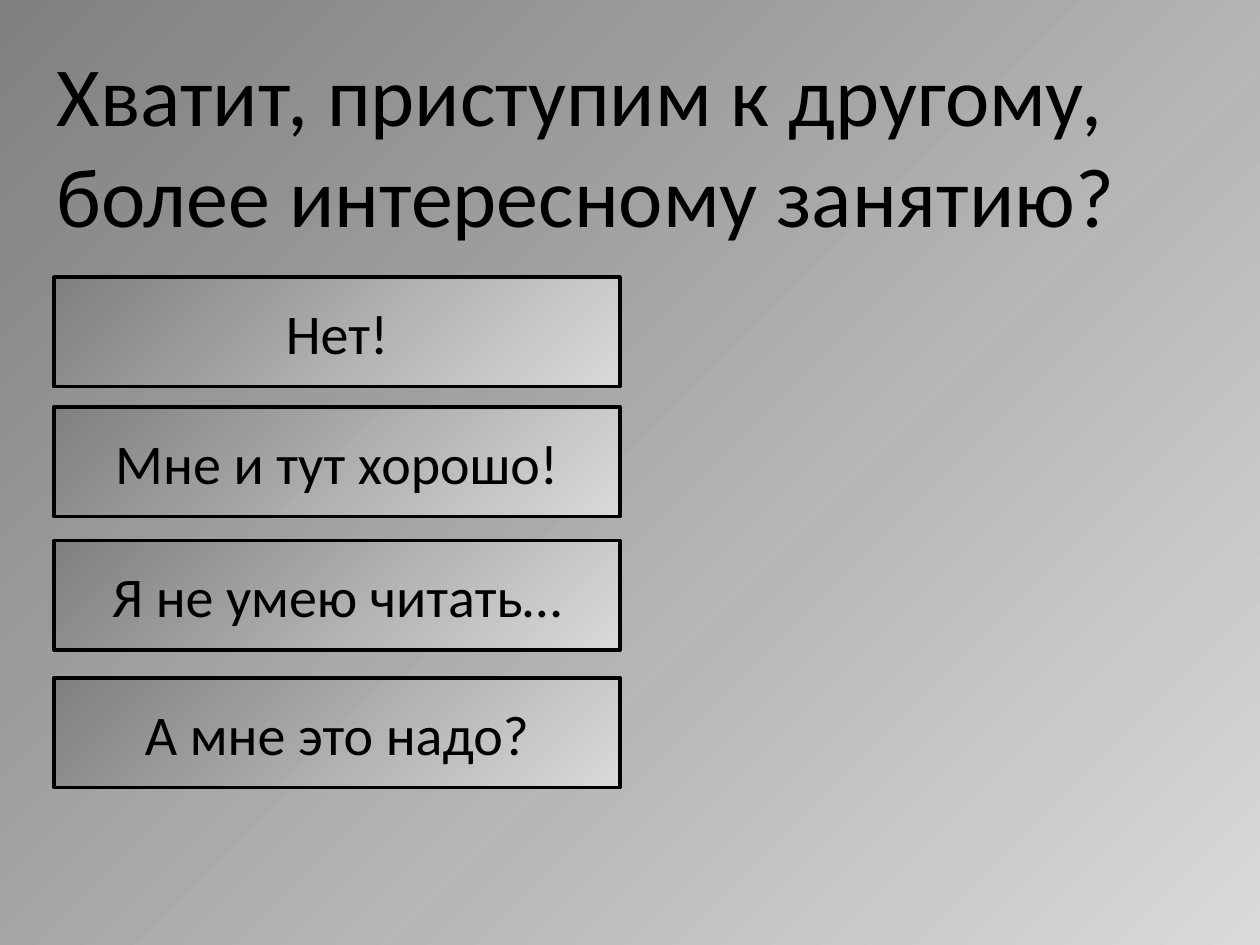
from dataclasses import dataclass

from pptx import Presentation
from pptx import util as u
from pptx.dml.color import RGBColor
from pptx.enum import shapes, text

QUESTION = ["Хватит, приступим к другому,", "более интересному занятию?"]
QUESTION_BOX = (0.35, 0.29, 8.75, 1.72)

# Answer label and the top of its button, in inches
ANSWERS = [
    ("Нет!", 2.2),
    ("Мне и тут хорошо!", 3.23),
    ("Я не умею читать…", 4.29),
    ("А мне это надо?", 5.38),
]
BUTTON_LEFT, BUTTON_WIDTH, BUTTON_HEIGHT = 0.43, 4.49, 0.87


@dataclass(frozen=True)
class Theme:
    font: str = "Calibri"
    ink: RGBColor = RGBColor(0x00, 0x00, 0x00)
    gradient: tuple = (RGBColor(0xD9, 0xD9, 0xD9), RGBColor(0x80, 0x80, 0x80))
    gradient_angle: int = 135  # counter-clockwise: light corner at bottom right
    question_size: int = 48
    answer_size: int = 32
    line_width: int = 2


THEME = Theme()


def apply_gradient(fill):
    fill.gradient()
    fill.gradient_angle = THEME.gradient_angle
    for stop, color in zip(fill.gradient_stops, THEME.gradient):
        stop.color.rgb = color


def write_lines(frame, lines, size, alignment):
    for index, line in enumerate(lines):
        paragraph = frame.add_paragraph() if index else frame.paragraphs[0]
        paragraph.alignment = alignment
        run = paragraph.add_run()
        run.text = line
        run.font.name = THEME.font
        run.font.size = u.Pt(size)
        run.font.color.rgb = THEME.ink


def add_question(slide):
    box = slide.shapes.add_textbox(*map(u.Inches, QUESTION_BOX))
    frame = box.text_frame
    frame.word_wrap = False
    frame.auto_size = text.MSO_AUTO_SIZE.SHAPE_TO_FIT_TEXT
    write_lines(frame, QUESTION, THEME.question_size, text.PP_ALIGN.LEFT)


def add_answer(slide, label, top):
    bounds = (BUTTON_LEFT, top, BUTTON_WIDTH, BUTTON_HEIGHT)
    button = slide.shapes.add_shape(
        shapes.MSO_SHAPE.RECTANGLE, *map(u.Inches, bounds))
    button.shadow.inherit = False
    apply_gradient(button.fill)
    button.line.color.rgb = THEME.ink
    button.line.width = u.Pt(THEME.line_width)
    frame = button.text_frame
    frame.word_wrap = True
    frame.vertical_anchor = text.MSO_ANCHOR.MIDDLE
    write_lines(frame, [label], THEME.answer_size, text.PP_ALIGN.CENTER)


def main():
    presentation = Presentation()
    presentation.slide_width = u.Inches(10)
    presentation.slide_height = u.Inches(7.5)
    slide = presentation.slides.add_slide(presentation.slide_layouts[6])
    apply_gradient(slide.background.fill)
    add_question(slide)
    for label, top in ANSWERS:
        add_answer(slide, label, top)
    presentation.save("out.pptx")


if __name__ == "__main__":
    main()
